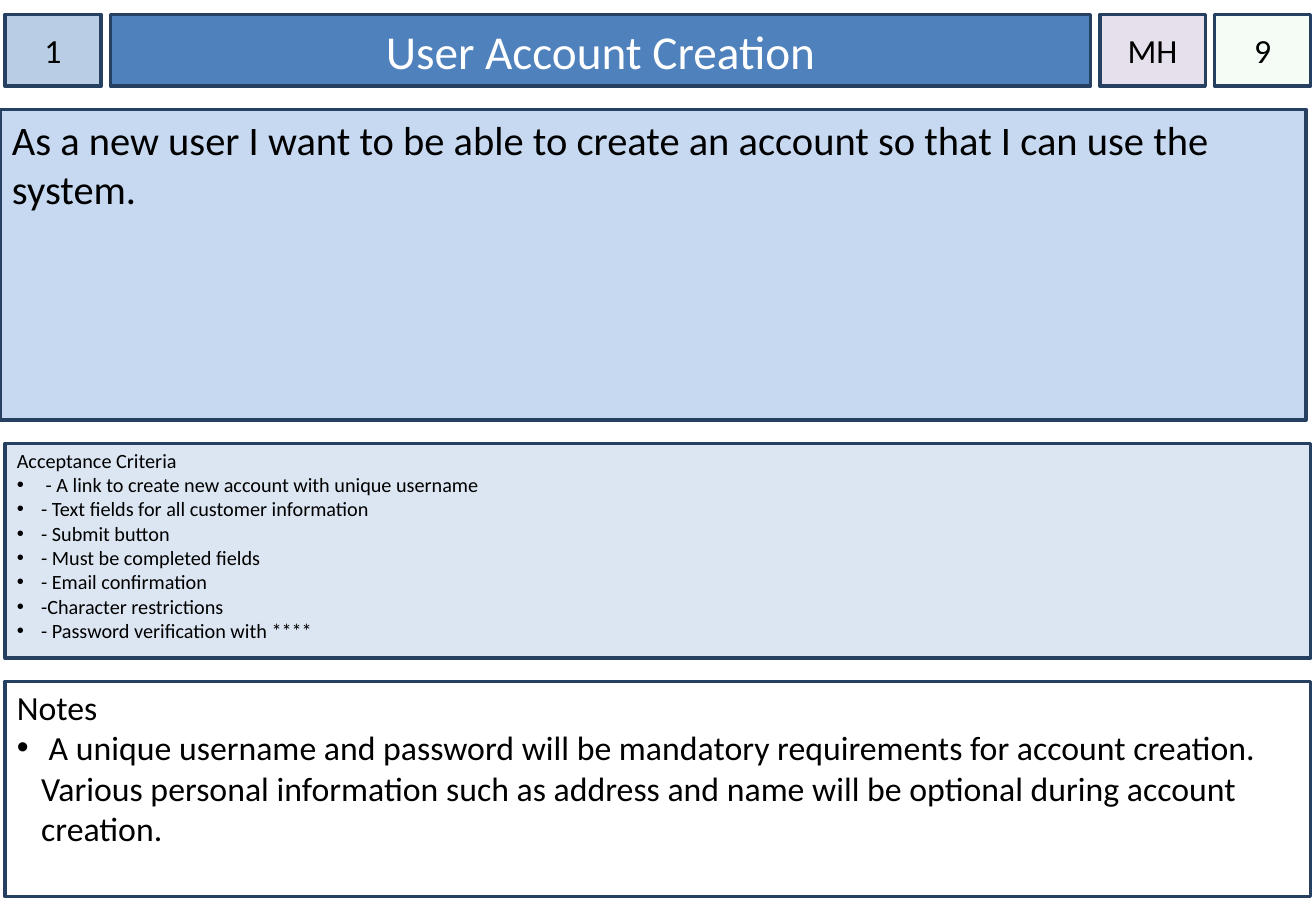
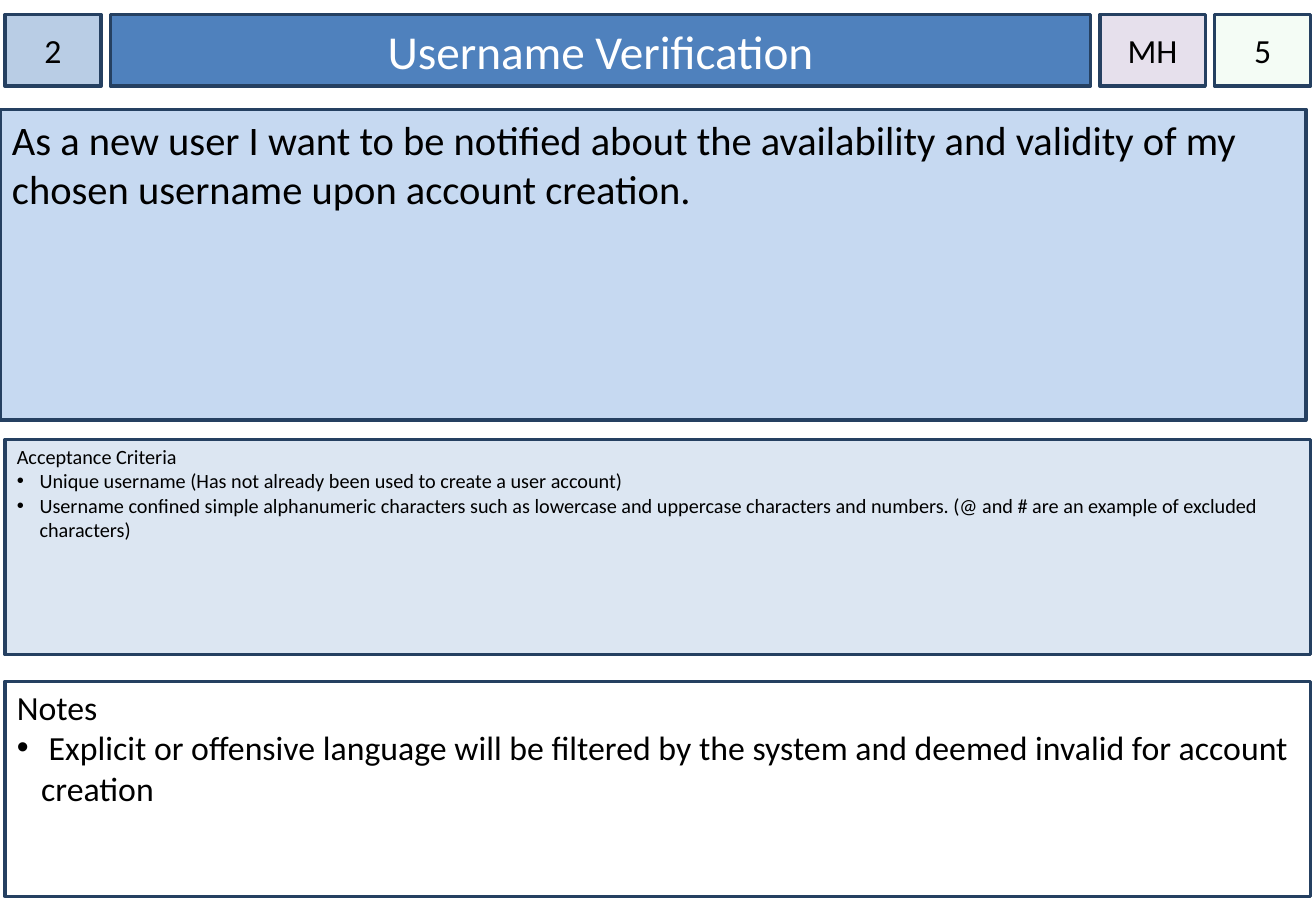
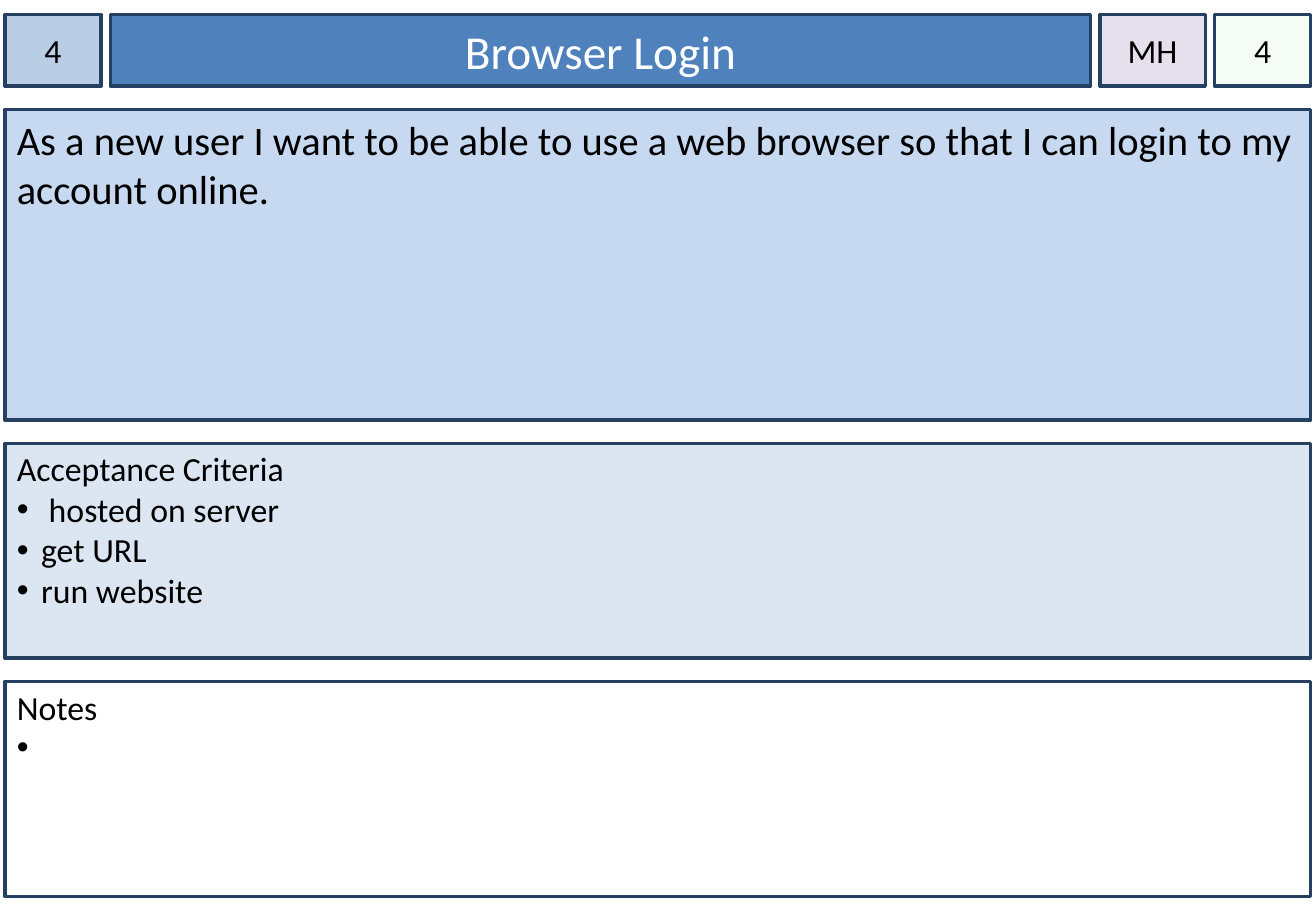
import dataclasses

import lxml.etree
import pptx
import pptx.dml.color
import pptx.enum.shapes
import pptx.enum.text
import pptx.oxml.ns
import pptx.util

Pt = pptx.util.Pt
RGBColor = pptx.dml.color.RGBColor
ALIGN = pptx.enum.text.PP_ALIGN
ANCHOR = pptx.enum.text.MSO_ANCHOR

BLACK = RGBColor(0x00, 0x00, 0x00)
WHITE = RGBColor(0xFF, 0xFF, 0xFF)
OUTLINE = RGBColor(0x25, 0x40, 0x61)
NUMBER_FILL = RGBColor(0xB9, 0xCD, 0xE5)
TITLE_FILL = RGBColor(0x4F, 0x81, 0xBD)
PRIORITY_FILL = RGBColor(0xE6, 0xE0, 0xEC)
ESTIMATE_FILL = RGBColor(0xCC, 0xF0, 0xCD)
STORY_FILL = RGBColor(0xC6, 0xD9, 0xF1)
CRITERIA_FILL = RGBColor(0xDC, 0xE6, 0xF2)

FONT = "Calibri"
PAGE_WIDTH, PAGE_HEIGHT = 780, 540
LEFT, TOP, WIDTH = 2.9, 8.6, 774
HEADER_HEIGHT, STORY_HEIGHT, PANEL_HEIGHT = 42.5, 184.3, 127.4
ROW_GAP, CELL_GAP = 13.7, 5.5
NUMBER_WIDTH, PRIORITY_WIDTH = 57, 62.5
BULLET_INDENT = 14.4

MIDDLE = {"vertical_anchor": ANCHOR.MIDDLE}
NARROW = {**MIDDLE, "margin_left": 0, "margin_right": 0}
UNWRAPPED = {**NARROW, "word_wrap": False}
PANEL = {"margin_top": Pt(2.9)}


@dataclasses.dataclass
class Story:
    """Content of one story card."""
    number: str
    title: str
    estimate: str
    wish: str
    criteria: list
    notes: list
    criteria_size: float = 12
    criteria_indent: float = BULLET_INDENT
    criteria_shift: float = 0
    wish_shift: float = 0


STORIES = [
    Story(
        "1", "User Account Creation", "9",
        "As a new user I want to be able to create an account so that I can use the system.",
        [" - A link to create new account with unique username",
         "- Text fields for all customer information",
         "- Submit button",
         "- Must be completed fields",
         "- Email confirmation",
         "-Character restrictions",
         "- Password verification with ****"],
        [" A unique username and password will be mandatory requirements for account creation. "
         "Various personal information such as address and name will be optional during account creation."],
        wish_shift=-LEFT),
    Story(
        "2", "Username Verification", "5",
        "As a new user I want to be notified about the availability and validity of my "
        "chosen username upon account creation.",
        ["Unique username (Has not already been used to create a user account)",
         "Username confined simple alphanumeric characters such as lowercase and uppercase "
         "characters and numbers. (@ and # are an example of excluded characters)"],
        [" Explicit or offensive language will be filtered by the system and deemed invalid "
         "for account creation"],
        criteria_indent=13.5, criteria_shift=-2.2, wish_shift=-LEFT),
    Story(
        "4", "Browser Login", "4",
        "As a new user I want to be able to use a web browser so that I can login to my account online.",
        [" hosted on server", "get URL", "run website"],
        [" "],
        criteria_size=20),
]


def add_box(page, area, fill, frame_format):
    """Add an outlined rectangle and return it."""
    box = page.shapes.add_shape(
        pptx.enum.shapes.MSO_SHAPE.RECTANGLE, *(Pt(length) for length in area))
    box.shadow.inherit = False
    box.fill.solid()
    box.fill.fore_color.rgb = fill
    box.line.color.rgb = OUTLINE
    box.line.width = Pt(2)
    settings = {"word_wrap": True, "vertical_anchor": ANCHOR.TOP, **frame_format}
    for name, value in settings.items():
        setattr(box.text_frame, name, value)
    return box


def write(para, text, size, color=BLACK, align=ALIGN.LEFT):
    """Put one formatted span in a paragraph."""
    para.alignment = align
    span = para.add_run()
    span.text = text
    for name, value in {"name": FONT, "size": Pt(size)}.items():
        setattr(span.font, name, value)
    span.font.color.rgb = color


def add_bullet(para, indent):
    """Give a paragraph a round bullet with a hanging indent."""
    properties = para._p.get_or_add_pPr()
    properties.set("marL", str(Pt(indent)))
    properties.set("indent", str(-Pt(indent)))
    for tag, attribute, value in (("a:buFont", "typeface", "Arial"), ("a:buChar", "char", "•")):
        lxml.etree.SubElement(properties, pptx.oxml.ns.qn(tag)).set(attribute, value)


def set_opacity(box, percent):
    """Make the solid fill of a box partly transparent."""
    tag = pptx.oxml.ns.qn
    color = box._element.spPr.find(tag("a:solidFill")).find(tag("a:srgbClr"))
    lxml.etree.SubElement(color, tag("a:alpha")).set("val", str(percent * 1000))


def add_header(page, area, story):
    """Lay out number, title, priority and estimate from left to right."""
    left, top, width, height = area
    title_width = width - 2 * NUMBER_WIDTH - PRIORITY_WIDTH - 3 * CELL_GAP
    cells = (
        (story.number, NUMBER_WIDTH, NUMBER_FILL, 20, BLACK, NARROW),
        (story.title, title_width, TITLE_FILL, 28, WHITE, MIDDLE),
        ("MH", PRIORITY_WIDTH, PRIORITY_FILL, 20, BLACK, UNWRAPPED),
        (story.estimate, NUMBER_WIDTH, ESTIMATE_FILL, 20, BLACK, NARROW),
    )
    for text, cell_width, fill, size, color, frame_format in cells:
        box = add_box(page, (left, top, cell_width, height), fill, frame_format)
        write(box.text_frame.paragraphs[0], text, size, color, ALIGN.CENTER)
        left += cell_width + CELL_GAP
    set_opacity(box, 20)


def add_wish(page, area, text):
    """Add the box that states the user's wish."""
    box = add_box(page, area, STORY_FILL, {})
    write(box.text_frame.paragraphs[0], text, 24)


def add_panel(page, area, fill, heading, items, size, indent=BULLET_INDENT):
    """Add a box with a heading and a bulleted list."""
    frame = add_box(page, area, fill, PANEL).text_frame
    write(frame.paragraphs[0], heading, size)
    for item in items:
        para = frame.add_paragraph()
        write(para, item, size)
        add_bullet(para, indent)


def add_card(deck, story):
    """Add one slide with the four rows of a story card."""
    page = deck.slides.add_slide(deck.slide_layouts[6])
    wish_top = TOP + HEADER_HEIGHT + ROW_GAP
    criteria_top = wish_top + STORY_HEIGHT + ROW_GAP
    notes_top = criteria_top + PANEL_HEIGHT + ROW_GAP
    add_header(page, (LEFT, TOP, WIDTH, HEADER_HEIGHT), story)
    add_wish(page, (LEFT + story.wish_shift, wish_top, WIDTH, STORY_HEIGHT), story.wish)
    add_panel(page, (LEFT, criteria_top + story.criteria_shift, WIDTH, PANEL_HEIGHT),
              CRITERIA_FILL, "Acceptance Criteria", story.criteria,
              story.criteria_size, story.criteria_indent)
    add_panel(page, (LEFT, notes_top, WIDTH, PANEL_HEIGHT), WHITE, "Notes", story.notes, 20)


def main():
    """Build the deck of story cards and save it."""
    deck = pptx.Presentation()
    deck.slide_width, deck.slide_height = Pt(PAGE_WIDTH), Pt(PAGE_HEIGHT)
    for story in STORIES:
        add_card(deck, story)
    deck.save("out.pptx")


if __name__ == "__main__":
    main()
